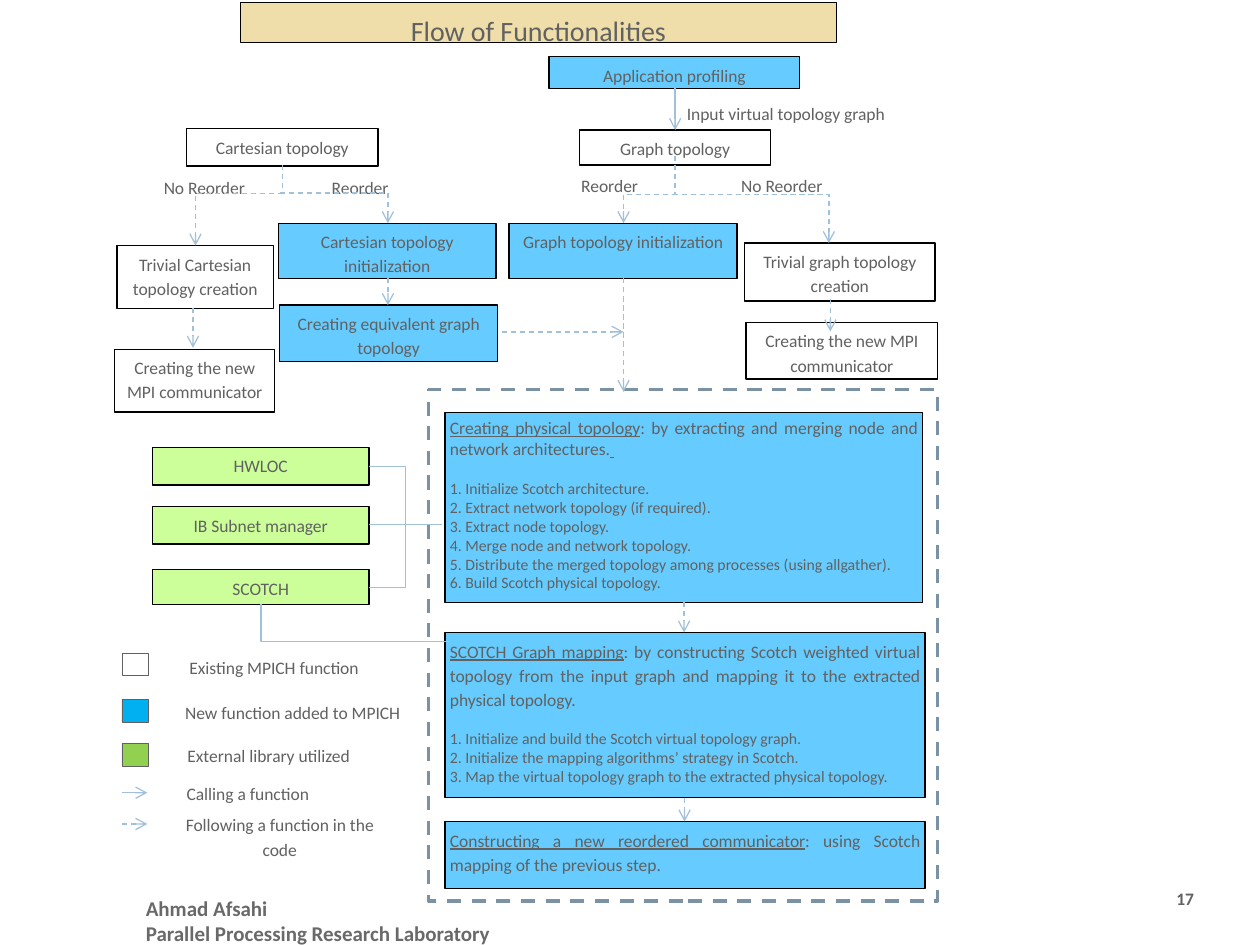
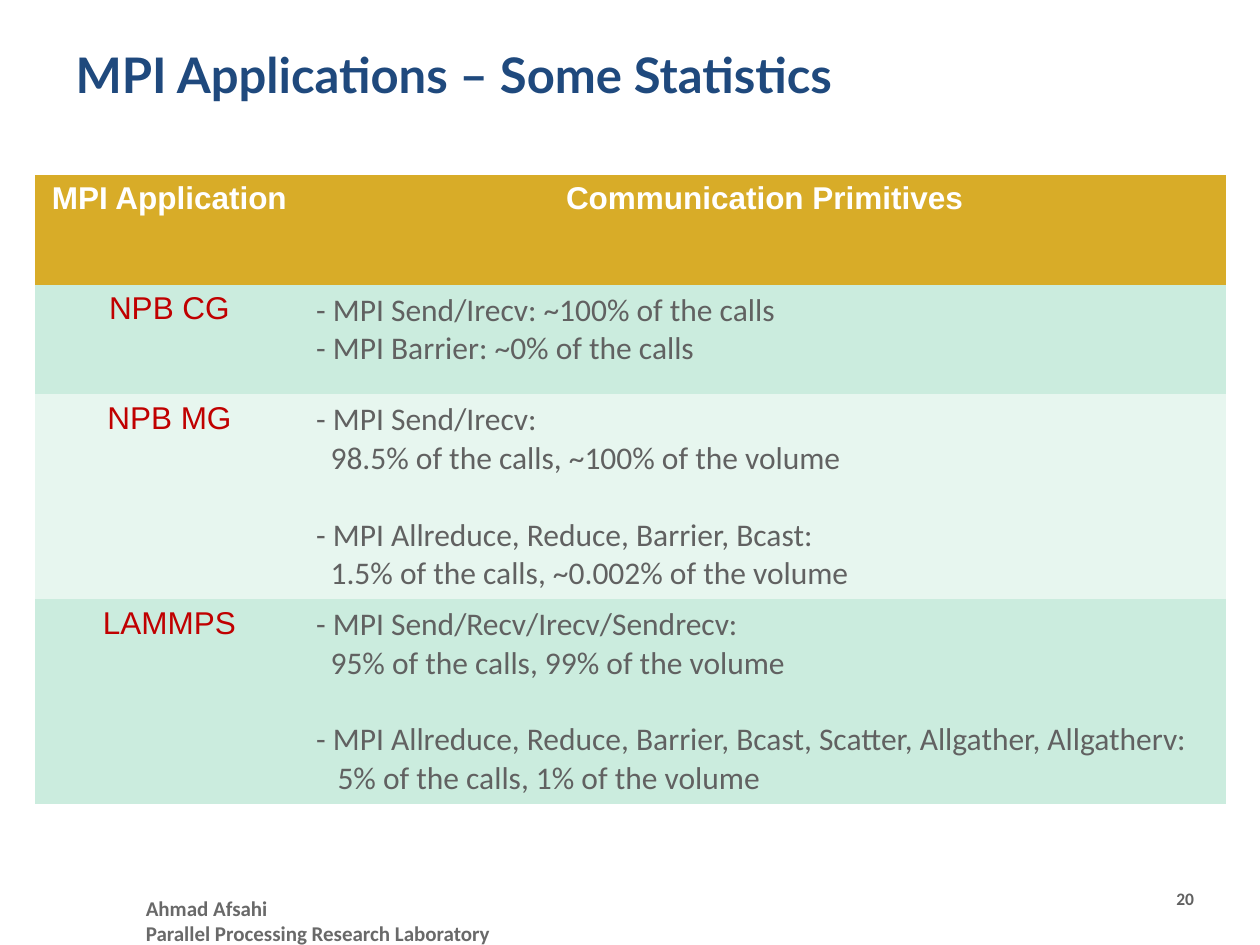
from dataclasses import dataclass
from typing import Optional

from lxml import etree
from pptx import Presentation
from pptx.dml.color import RGBColor
from pptx.enum import dml, shapes, text
from pptx.oxml import ns
from pptx.util import Cm, Pt

GREY = RGBColor(0x61, 0x61, 0x61)
FOOTER_GREY = RGBColor(0x69, 0x69, 0x69)
BLACK = RGBColor(0, 0, 0)
WHITE = RGBColor(0xFF, 0xFF, 0xFF)
NAVY = RGBColor(0x1F, 0x49, 0x7D)
SAND = RGBColor(0xEF, 0xDE, 0xA9)
SKY = RGBColor(0x66, 0xCC, 0xFF)
LIME = RGBColor(0xCC, 0xFF, 0x99)
KEY_BLUE = RGBColor(0x00, 0xB0, 0xF0)
KEY_GREEN = RGBColor(0x92, 0xD0, 0x50)
ARROW_BLUE = RGBColor(0xA1, 0xC0, 0xDA)
FRAME_BLUE = RGBColor(0x7B, 0x91, 0xA4)
GOLD = RGBColor(0xD8, 0xAC, 0x28)
MINT = RGBColor(0xCB, 0xEC, 0xDE)
PALE_MINT = RGBColor(0xE7, 0xF6, 0xEF)
RED = RGBColor(0xC0, 0, 0)

LEFT, CENTER = text.PP_ALIGN.LEFT, text.PP_ALIGN.CENTER
RIGHT, JUSTIFY = text.PP_ALIGN.RIGHT, text.PP_ALIGN.JUSTIFY
DASH = dml.MSO_LINE.DASH
PLAIN_TABLE = "{2D5ABB26-0587-4C30-8999-92F81FD0307C}"


@dataclass
class Box:
    """A rectangle in centimetres with its label."""
    left: float
    top: float
    width: float
    height: float
    label: str = ""
    fill: Optional[RGBColor] = None


@dataclass
class Step:
    """A box with an underlined heading and a numbered list."""
    box: Box
    heading: str
    summary: str
    items: tuple = ()
    spacing: float = 1.15
    underlined_end: str = ""


@dataclass
class Link:
    """A connector; `down` makes an elbow leave vertically."""
    x1: float
    y1: float
    x2: float
    y2: float
    preset: str = "line"
    down: bool = False
    turn: float = 0.5
    dashed: bool = True
    arrow: bool = True


@dataclass
class Line:
    """One table line with its indent and the gap above it."""
    words: str
    indent: float = 0
    before: float = 0


BOXES = [
    Box(11.07, 1.14, 5.05, 0.64, "Application profiling", SKY),
    Box(11.68, 2.62, 3.86, 0.71, "Graph topology"),
    Box(3.76, 2.59, 3.86, 0.76, "Cartesian topology"),
    Box(10.26, 4.5, 4.6, 1.12, "Graph topology initialization", SKY),
    Box(5.61, 4.5, 4.39, 1.12, "Cartesian topology initialization", SKY),
    Box(5.64, 6.15, 4.39, 1.14, "Creating equivalent graph topology", SKY),
    Box(2.36, 4.95, 3.15, 1.27, "Trivial Cartesian topology creation"),
    Box(15.01, 4.9, 3.84, 1.17, "Trivial graph topology creation"),
    Box(2.31, 7.04, 3.23, 1.27, "Creating the new MPI communicator"),
    Box(15.04, 6.5, 3.86, 1.14, "Creating the new MPI communicator"),
    Box(3.07, 9.02, 4.37, 0.76, "HWLOC", LIME),
    Box(3.07, 10.21, 4.37, 0.76, "IB Subnet manager", LIME),
    Box(3.07, 11.48, 4.37, 0.71, "SCOTCH", LIME),
]
STEPS = [
    Step(Box(8.97, 8.31, 9.63, 3.84, fill=SKY), "Creating physical topology",
         ": by extracting and merging node and network architectures.",
         ("1. Initialize Scotch architecture.",
          "2. Extract network topology (if required).",
          "3. Extract node topology.",
          "4. Merge node and network topology.",
          "5. Distribute the merged topology among processes (using allgather).",
          "6. Build Scotch physical topology."), 1.0, " "),
    Step(Box(8.97, 12.75, 9.68, 3.33, fill=SKY), "SCOTCH Graph mapping",
         ": by constructing Scotch weighted virtual topology from the input graph "
         "and mapping it to the extracted physical topology.",
         ("1. Initialize and build the Scotch virtual topology graph.",
          "2. Initialize the mapping algorithms’ strategy in Scotch.",
          "3. Map the virtual topology graph to the extracted physical topology.")),
    Step(Box(8.97, 16.56, 9.68, 1.35, fill=SKY),
         "Constructing a new reordered communicator",
         ": using Scotch mapping of the previous step."),
]
FRAME = Box(8.64, 7.85, 10.26, 10.31)
LABELS = [
    Box(13.34, 1.88, 5.0, 0.66, "Input virtual topology graph"),
    Box(14.46, 3.35, 2.6, 0.66, "No Reorder"),
    Box(2.82, 3.38, 2.6, 0.66, "No Reorder"),
    Box(11.19, 3.35, 2.2, 0.66, "Reorder"),
    Box(6.16, 3.38, 2.2, 0.66, "Reorder"),
    Box(3.33, 13.06, 4.39, 0.71, "Existing MPICH function"),
    Box(3.4, 13.97, 5.0, 0.71, "New function added to MPICH"),
    Box(3.28, 14.83, 4.27, 0.71, "External library utilized"),
    Box(3.18, 15.6, 3.63, 0.71, "Calling a function"),
    Box(3.25, 16.23, 4.78, 1.27, "Following a function in the code"),
]
SWATCHES = [Box(2.46, top, 0.53, 0.46, fill=color)
            for top, color in ((13.16, WHITE), (14.1, KEY_BLUE), (14.99, KEY_GREEN))]
LINKS = [
    Link(13.61, 1.78, 13.61, 2.62, dashed=False),
    Link(12.57, 5.61, 12.57, 7.9),
    Link(13.79, 12.14, 13.79, 12.75),
    Link(13.8, 16.08, 13.8, 16.56),
    Link(16.74, 6.02, 16.74, 6.68),
    Link(3.89, 6.2, 3.89, 7.01),
    Link(7.82, 5.61, 7.82, 6.15),
    Link(10.11, 6.69, 12.57, 6.69),
    Link(13.61, 3.33, 12.57, 4.5, "bentConnector3", down=True),
    Link(13.61, 3.15, 16.71, 4.9, "bentConnector3", down=True, turn=0.44),
    Link(5.69, 3.33, 3.94, 4.95, "bentConnector3", down=True, turn=0.35),
    Link(5.64, 3.89, 7.82, 4.5, "bentConnector2"),
    Link(5.26, 12.17, 9.07, 12.93, "bentConnector2", down=True, dashed=False, arrow=False),
    Link(7.44, 9.4, 8.92, 10.57, "bentConnector3", dashed=False, arrow=False),
    Link(7.44, 10.57, 8.92, 10.57, dashed=False, arrow=False),
    Link(7.44, 11.84, 8.92, 10.57, "bentConnector3", dashed=False, arrow=False),
    Link(2.46, 15.98, 2.97, 15.98, dashed=False),
    Link(2.46, 16.61, 2.97, 16.61),
]
STATISTICS = [
    ("NPB CG", MINT, 2.21, [Line("- MPI Send/Irecv: ~100% of the calls"),
                            Line("- MPI Barrier: ~0% of the calls")]),
    ("NPB MG", PALE_MINT, 4.13, [
        Line("- MPI Send/Irecv:"),
        Line("98.5% of the calls, ~100% of the volume", 0.29),
        Line("- MPI Allreduce, Reduce, Barrier, Bcast:", before=22),
        Line("1.5% of the calls, ~0.002% of the volume", 0.29)]),
    ("LAMMPS", MINT, 4.13, [
        Line("- MPI Send/Recv/Irecv/Sendrecv:"),
        Line("95% of the calls, 99% of the volume", 0.29),
        Line("- MPI Allreduce, Reduce, Barrier, Bcast, Scatter, Allgather, Allgatherv:",
             before=22),
        Line("5% of the calls, 1% of the volume", 0.43)]),
]


def write(frame, words: str, *, size: float = 10, font: str = "Calibri",
          color: RGBColor = GREY, bold: bool = False, align=LEFT, spacing: float = 1.0,
          before: float = 0, indent: float = 0, lead: str = "", tail: str = "") -> None:
    """Add a paragraph; `lead` and `tail` are underlined."""
    para = frame.paragraphs[0] if not frame.text else frame.add_paragraph()
    para.alignment, para.line_spacing = align, spacing
    para.space_before = Pt(before)
    if indent:
        para._p.get_or_add_pPr().set("marL", str(Cm(indent)))
    for part, underlined in ((lead, True), (words, False), (tail, True)):
        if part:
            span = para.add_run()
            span.text = part
            span.font.name, span.font.size, span.font.bold = font, Pt(size), bold
            span.font.underline = underlined
            span.font.color.rgb = color


def place(box: Box) -> tuple:
    return Cm(box.left), Cm(box.top), Cm(box.width), Cm(box.height)


def add_label(page, box: Box, **style):
    frame = page.shapes.add_textbox(*place(box)).text_frame
    frame.word_wrap = True
    for words in box.label.split("\n"):
        write(frame, words, **style)
    return frame


def add_box(page, box: Box, line: RGBColor = BLACK, width: float = 0.75):
    shape = page.shapes.add_shape(shapes.MSO_SHAPE.RECTANGLE, *place(box))
    shape.shadow.inherit = False
    if box.fill is None:
        shape.fill.background()
    else:
        shape.fill.solid()
        shape.fill.fore_color.rgb = box.fill
    shape.line.color.rgb, shape.line.width = line, Pt(width)
    frame = shape.text_frame
    frame.word_wrap, frame.vertical_anchor = True, text.MSO_ANCHOR.TOP
    frame.margin_left = frame.margin_right = Cm(0.1)
    frame.margin_top = frame.margin_bottom = Cm(0.1)
    if box.label:
        write(frame, box.label, align=CENTER, spacing=1.15)
    return shape


def add_step(page, step: Step) -> None:
    frame = add_box(page, step.box).text_frame
    write(frame, step.summary, lead=step.heading, tail=step.underlined_end,
          align=JUSTIFY, spacing=step.spacing)
    for index, item in enumerate(step.items):
        write(frame, item, size=9, align=JUSTIFY, before=0 if index else 11)


def add_link(page, link: Link) -> None:
    x1, y1, x2, y2 = link.x1, link.y1, link.x2, link.y2
    if link.down:
        # A vertical start is a horizontal elbow turned about its centre.
        middle_x, middle_y = (x1 + x2) / 2, (y1 + y2) / 2
        half_width, half_height = (y2 - y1) / 2, abs(x2 - x1) / 2
        side = 1 if x2 > x1 else -1
        x1, x2 = middle_x + side * half_width, middle_x - side * half_width
        y1, y2 = middle_y - half_height, middle_y + half_height
    connector = page.shapes.add_connector(
        shapes.MSO_CONNECTOR.STRAIGHT, Cm(x1), Cm(y1), Cm(x2), Cm(y2))
    properties = connector._element.spPr
    if link.down:
        properties.xfrm.set("rot", str((270 if side > 0 else 90) * 60000))
    geometry = properties.find(ns.qn("a:prstGeom"))
    geometry.set("prst", link.preset)
    if link.preset == "bentConnector3":
        etree.SubElement(geometry.find(ns.qn("a:avLst")), ns.qn("a:gd"),
                         name="adj1", fmla=f"val {round(link.turn * 100000)}")
    connector.line.color.rgb, connector.line.width = ARROW_BLUE, Pt(0.75)
    if link.dashed:
        connector.line.dash_style = DASH
    if link.arrow:
        etree.SubElement(properties.find(ns.qn("a:ln")), ns.qn("a:tailEnd"), type="arrow")
    etree.SubElement(properties, ns.qn("a:effectLst"))


def add_page(deck, number: int, title_box: Box, **title_style):
    """Add a slide with its title and the shared footer."""
    page = deck.slides.add_slide(deck.slide_layouts[5])
    title = page.shapes.title
    title.left, title.top, title.width, title.height = place(title_box)
    frame = title.text_frame
    frame.word_wrap, frame.auto_size = True, text.MSO_AUTO_SIZE.NONE
    frame.vertical_anchor = text.MSO_ANCHOR.TOP
    write(frame, title_box.label, **title_style)
    if title_box.fill is not None:
        title.fill.solid()
        title.fill.fore_color.rgb = title_box.fill
        title.line.color.rgb, title.line.width = BLACK, Pt(0.5)
    add_label(page, Box(2.69, 17.93, 8.26, 1.12,
                        "Ahmad Afsahi\nParallel Processing Research Laboratory"),
              size=12, bold=True, color=FOOTER_GREY)
    number_frame = add_label(page, Box(20.24, 17.78, 4.24, 1.07, str(number)),
                             bold=True, align=RIGHT)
    number_frame.margin_right = Cm(0.41)
    return page


def add_flow_page(deck) -> None:
    page = add_page(deck, 17, Box(4.85, 0.05, 12.01, 0.81, "Flow of Functionalities", SAND),
                    size=16, align=CENTER, spacing=1.15)
    for box in BOXES:
        add_box(page, box)
    for step in STEPS:
        add_step(page, step)
    add_box(page, FRAME, FRAME_BLUE, 2).line.dash_style = DASH
    for swatch in SWATCHES:
        add_box(page, swatch, GREY, 0.25)
    for label in LABELS:
        add_label(page, label, align=CENTER, spacing=1.15)
    for link in LINKS:
        add_link(page, link)


def add_statistics_page(deck) -> None:
    page = add_page(deck, 20, Box(1.27, 0.76, 22.86, 2.21, "MPI Applications – Some Statistics"),
                    size=28, font="Lato", color=NAVY, bold=True)
    heights = [2.21] + [height for _, _, height, _ in STATISTICS]
    table = page.shapes.add_table(len(heights), 2, Cm(0.71), Cm(3.53),
                                  Cm(24), Cm(sum(heights))).table
    table._tbl.tblPr.find(ns.qn("a:tableStyleId")).text = PLAIN_TABLE
    table.columns[0].width, table.columns[1].width = Cm(5.41), Cm(18.59)
    for row, height in zip(table.rows, heights):
        row.height = Cm(height)
    for cell, heading in zip(table.rows[0].cells, ("MPI Application", "Communication Primitives")):
        write(cell.text_frame, heading, size=18, font="Arial", color=WHITE, bold=True, align=CENTER)
    fills = [GOLD] + [fill for _, fill, _, _ in STATISTICS]
    for row, fill in zip(table.rows, fills):
        for cell in row.cells:
            cell.fill.solid()
            cell.fill.fore_color.rgb = fill
    for index, (name, _, _, lines) in enumerate(STATISTICS, start=1):
        write(table.cell(index, 0).text_frame, name, size=18, font="Arial", color=RED, align=CENTER)
        for line in lines:
            write(table.cell(index, 1).text_frame, line.words, size=18,
                  before=line.before, indent=line.indent)


def main() -> None:
    deck = Presentation()
    deck.slide_width, deck.slide_height = Cm(25.4), Cm(19.05)
    add_flow_page(deck)
    add_statistics_page(deck)
    deck.save("out.pptx")


if __name__ == "__main__":
    main()
